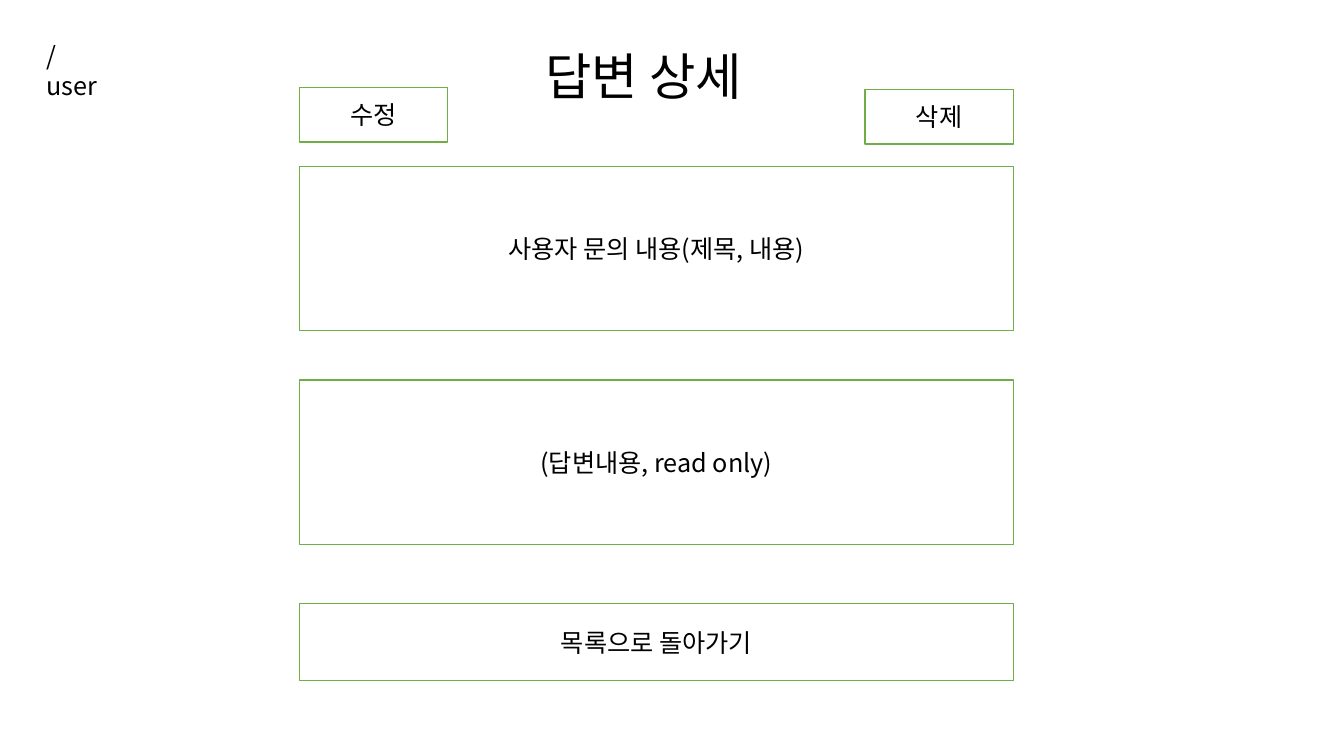
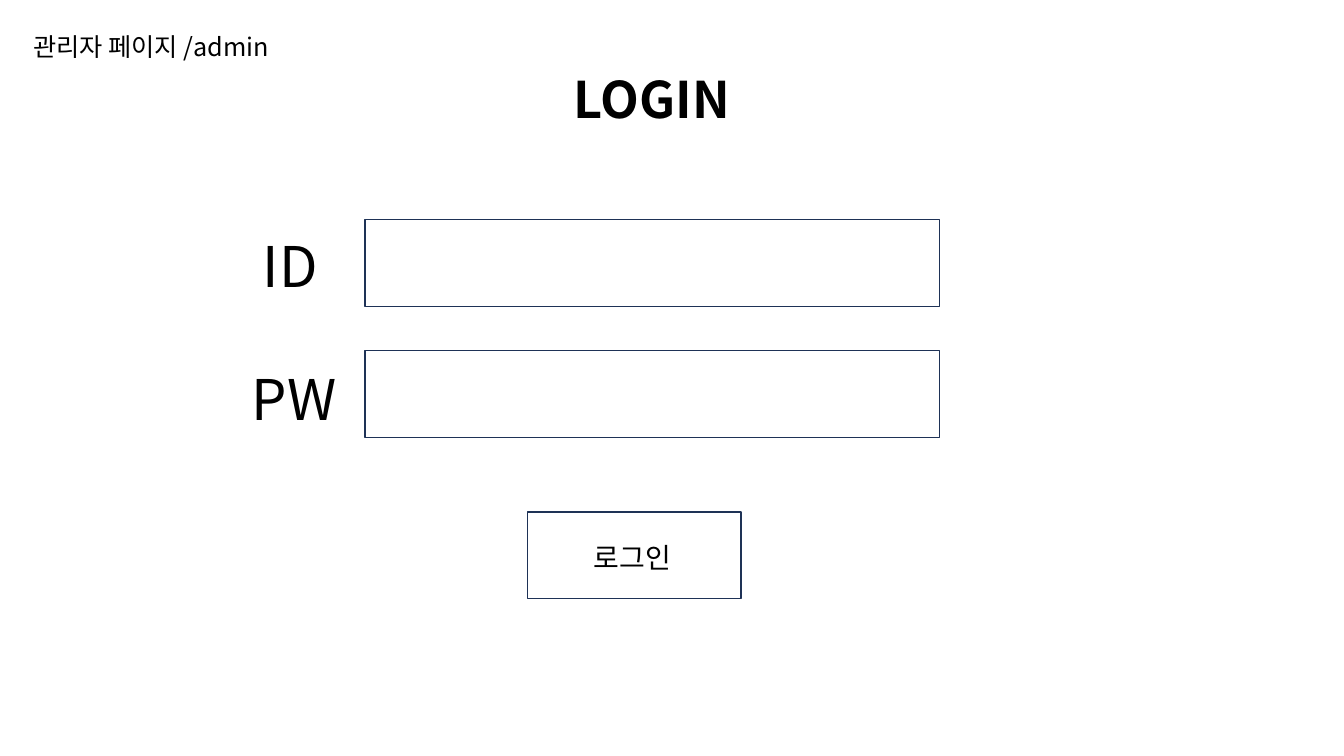
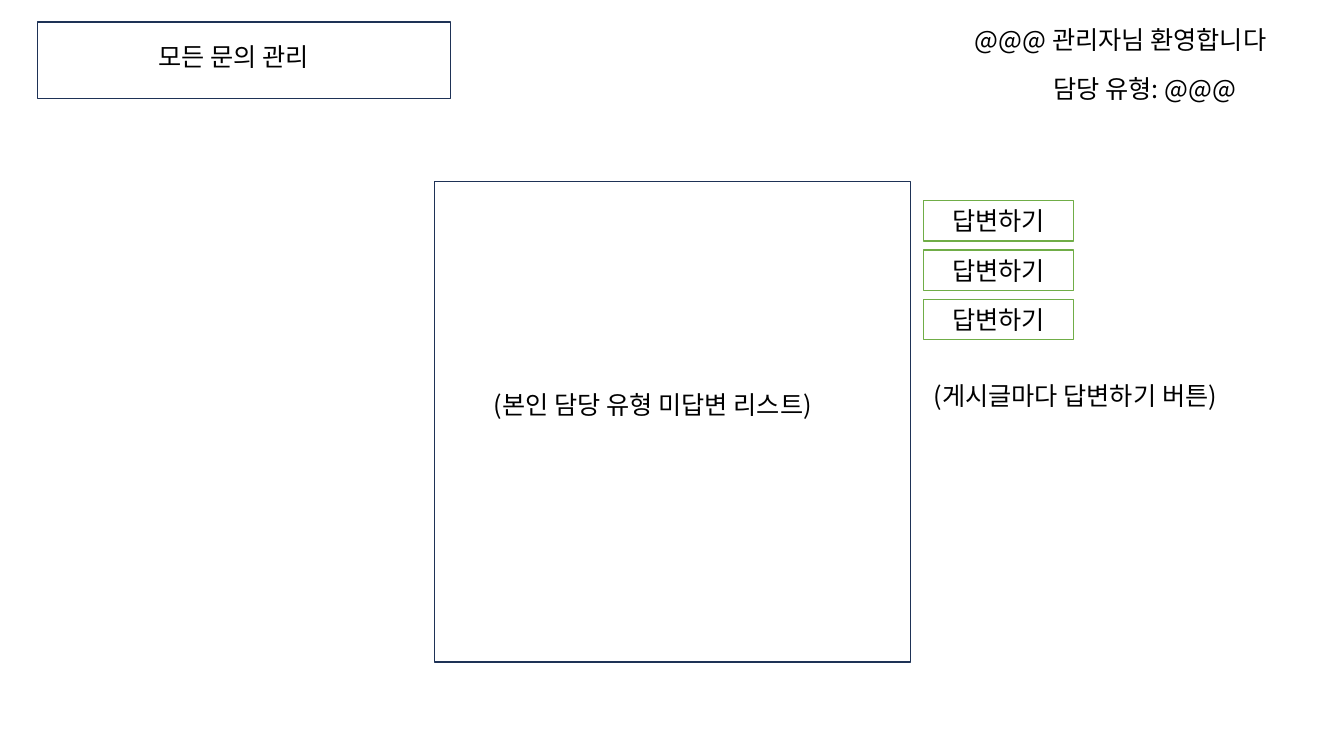
from lxml import etree
from pptx import Presentation
from pptx.dml.color import RGBColor
from pptx.enum.shapes import MSO_SHAPE
from pptx.enum.text import MSO_ANCHOR, MSO_AUTO_SIZE, PP_ALIGN
from pptx.oxml.ns import qn
from pptx.util import Inches, Pt

RECTANGLE = MSO_SHAPE.RECTANGLE
TOP, MIDDLE = MSO_ANCHOR.TOP, MSO_ANCHOR.MIDDLE
LEFT, CENTER = PP_ALIGN.LEFT, PP_ALIGN.CENTER
FIT_SHAPE = MSO_AUTO_SIZE.SHAPE_TO_FIT_TEXT

BLACK = RGBColor(0x00, 0x00, 0x00)
WHITE = RGBColor(0xFF, 0xFF, 0xFF)
GREEN = RGBColor(0x70, 0xAD, 0x47)
NAVY = RGBColor(0x1E, 0x32, 0x56)

FONT = "Noto Sans CJK KR"
BODY_SIZE, TITLE_SIZE, FIELD_SIZE = 18, 36, 40
LINE_HEIGHT = 0.4
TITLE_ONLY, BLANK = 5, 6


def write(shape, text, size=BODY_SIZE, bold=False, align=LEFT, anchor=TOP, wrap=True):
    """Put one formatted paragraph into a shape."""
    frame = shape.text_frame
    frame.text = text
    frame.word_wrap = wrap
    frame.vertical_anchor = anchor
    para = frame.paragraphs[0]
    para.alignment = align
    for span in para.runs:
        span.font.size = Pt(size)
        span.font.bold = bold
        span.font.color.rgb = BLACK
        span.font.name = FONT
        # Korean characters take the East Asian font
        etree.SubElement(span.font._element, qn("a:ea"), typeface=FONT)


def add_title(page, text, left, top, width, bold=False):
    title = page.shapes.title
    title.left, title.top = Inches(left), Inches(top)
    title.width, title.height = Inches(width), Inches(0.71)
    write(title, text, TITLE_SIZE, bold, wrap=False)
    title.text_frame.auto_size = FIT_SHAPE


def add_label(page, text, left, top, width, height=LINE_HEIGHT,
              size=BODY_SIZE, wrap=False):
    label = page.shapes.add_textbox(
        Inches(left), Inches(top), Inches(width), Inches(height))
    write(label, text, size, wrap=wrap)
    label.text_frame.auto_size = FIT_SHAPE


def add_frame(page, left, top, width, height, line=NAVY):
    """Draw an unfilled outlined rectangle."""
    box = page.shapes.add_shape(
        RECTANGLE, Inches(left), Inches(top), Inches(width), Inches(height))
    box.shadow.inherit = False
    box.fill.background()
    box.line.color.rgb = line
    box.line.width = Pt(1)
    return box


def add_panel(page, text, left, top, width, height):
    """Draw a white, green-edged rectangle with centred text."""
    box = add_frame(page, left, top, width, height, GREEN)
    box.fill.solid()
    box.fill.fore_color.rgb = WHITE
    write(box, text, align=CENTER, anchor=MIDDLE)


def add_page(deck, layout):
    return deck.slides.add_slide(deck.slide_layouts[layout])


def build_answer_detail(deck):
    page = add_page(deck, TITLE_ONLY)
    add_title(page, "답변 상세", 5.31, 0.4, 2.4)
    add_label(page, "/user", 0.36, 0.35, 0.78, wrap=True)

    # Stacked panels share one column
    left, width = 2.97, 7.08
    for text, top, height in (
        ("사용자 문의 내용(제목, 내용)", 1.65, 1.63),
        ("(답변내용, read only)", 3.77, 1.63),
        ("목록으로 돌아가기", 5.99, 0.76),
    ):
        add_panel(page, text, left, top, width, height)

    # Buttons at both ends of the column
    button_width, button_height = 1.47, 0.54
    add_panel(page, "수정", left, 0.87, button_width, button_height)
    add_panel(page, "삭제", left + width - button_width, 0.89,
              button_width, button_height)


def build_login(deck):
    page = add_page(deck, TITLE_ONLY)
    add_title(page, "LOGIN", 5.59, 0.63, 1.76, bold=True)
    add_label(page, "관리자 페이지 /admin", 0.23, 0.26, 2.71)

    # Input fields with their captions
    field_height, label_width = 0.86, 1.36
    for row, (text, label_left, label_top) in enumerate(
            (("ID", 2.51, 2.25), ("PW", 2.4, 3.57))):
        add_frame(page, 3.62, 2.18 + 1.3 * row, 5.7, field_height)
        add_label(page, text, label_left, label_top, label_width, 0.77,
                  FIELD_SIZE, wrap=True)

    # Login button
    add_frame(page, 5.23, 5.08, 2.12, field_height)
    add_label(page, "로그인", 5.79, 5.31, label_width, 0.44, 20, wrap=True)


def build_admin_home(deck):
    page = add_page(deck, BLANK)

    # Header
    add_frame(page, 0.37, 0.22, 4.1, 0.76)
    add_label(page, "모든 문의 관리", 1.47, 0.36, 2.83, wrap=True)
    add_label(page, "@@@ 관리자님 환영합니다", 9.57, 0.19, 3.39)
    add_label(page, "담당 유형: @@@", 10.35, 0.68, 2.19)

    # List of unanswered questions
    add_frame(page, 4.31, 1.8, 4.72, 4.77)
    add_label(page, "(본인 담당 유형 미답변 리스트)", 4.8, 3.81, 3.74)

    # One answer button per post
    button_left = 9.16
    for row in range(3):
        add_panel(page, "답변하기", button_left, 1.99 + 0.49 * row, 1.49, LINE_HEIGHT)
    add_label(page, "(게시글마다 답변하기 버튼)", button_left, 3.72, 3.31)


def main():
    deck = Presentation()
    deck.slide_width, deck.slide_height = Inches(13.33), Inches(7.5)
    build_answer_detail(deck)
    build_login(deck)
    build_admin_home(deck)
    deck.save("out.pptx")


if __name__ == "__main__":
    main()
